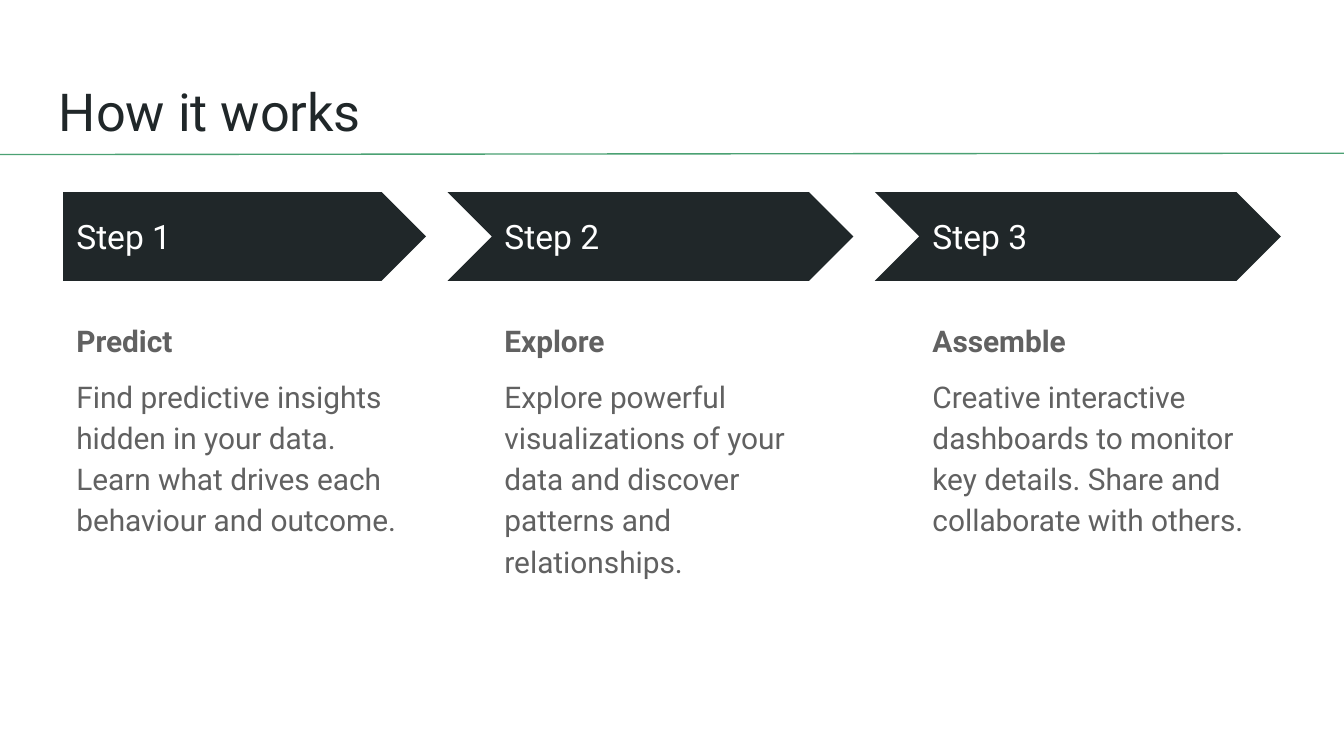
from lxml.etree import SubElement
from pptx import Presentation
from pptx.dml.color import RGBColor
from pptx.enum.shapes import MSO_CONNECTOR, MSO_SHAPE
from pptx.enum.text import MSO_ANCHOR
from pptx.oxml.ns import qn
from pptx.util import Inches, Pt

COLORS = {"dark": "202729", "white": "FFFFFF", "grey": "616161", "green": "4BA173"}
FONT = "Roboto"
FIRST_LEFT, LAST_LEFT, COLUMN_WIDTH = 0.47, 6.84, 2.7
ARROW_PITCH, NOTCH = 3.18, 0.32
STEPS = [
    ("Step 1", "Predict",
     "Find predictive insights hidden in your data. Learn what drives each behaviour and outcome."),
    ("Step 2", "Explore",
     "Explore powerful visualizations of your data and discover patterns and relationships."),
    ("Step 3", "Assemble",
     "Creative interactive dashboards to monitor key details. Share and collaborate with others."),
]


def color(name):
    """Return the palette colour called name."""
    return RGBColor.from_string(COLORS[name])


def add_text(page, area, lines, size, ink, anchor=MSO_ANCHOR.TOP):
    """Add a wrapped text box with one paragraph per line and return its paragraphs."""
    box = page.shapes.add_textbox(*map(Inches, area))
    frame = box.text_frame
    frame.word_wrap = True
    frame.vertical_anchor = anchor
    frame.margin_left = frame.margin_right = Inches(0.1)
    frame.margin_top = frame.margin_bottom = Inches(0.1)
    frame.text = "\n".join(lines)
    for para in frame.paragraphs:
        para.font.name = FONT
        para.font.size = Pt(size)
        para.font.color.rgb = color(ink)
    return frame.paragraphs


def add_arrow(page, index):
    """Add the dark arrow behind a step label; all but the first are notched."""
    notch = NOTCH if index else 0
    kind = MSO_SHAPE.CHEVRON if index else MSO_SHAPE.PENTAGON
    left = FIRST_LEFT + index * ARROW_PITCH - notch
    arrow = page.shapes.add_shape(
        kind, Inches(left), Inches(1.43), Inches(COLUMN_WIDTH + notch), Inches(0.66))
    arrow.shadow.inherit = False
    arrow.adjustments[0] = 0.5
    arrow.fill.solid()
    arrow.fill.fore_color.rgb = color("dark")
    arrow.line.fill.background()


def add_step(page, index, label, heading, description):
    """Add one column: arrow, label, heading and description."""
    left = FIRST_LEFT + index * (LAST_LEFT - FIRST_LEFT) / (len(STEPS) - 1)
    add_arrow(page, index)
    add_text(page, (left, 1.59, 2.47, 0.34), [label], 18, "white", MSO_ANCHOR.MIDDLE)
    paras = add_text(page, (left, 2.26, COLUMN_WIDTH, 2.9), [heading, description], 16, "grey")
    for para in paras:
        para.line_spacing = 1.15
        para.space_after = Pt(8)
    paras[0].font.bold = True


def add_rule(page):
    """Add the thin green line below the title."""
    rule = page.shapes.add_connector(
        MSO_CONNECTOR.STRAIGHT, Inches(0), Inches(1.15), Inches(10.07), Inches(1.14))
    rule.line.color.rgb = color("green")
    rule.line.width = Pt(0.75)
    SubElement(rule._element.spPr, qn("a:effectLst"))


def main():
    """Build the 16:9 slide and save it."""
    deck = Presentation()
    deck.slide_width = Inches(10)
    deck.slide_height = Inches(10 * 9 / 16)
    page = deck.slides.add_slide(deck.slide_layouts[6])
    add_text(page, (0.34, 0.49, 9.32, 0.63), ["How it works"], 28, "dark")
    for index, step in enumerate(STEPS):
        add_step(page, index, *step)
    add_rule(page)
    deck.save("out.pptx")


if __name__ == "__main__":
    main()
